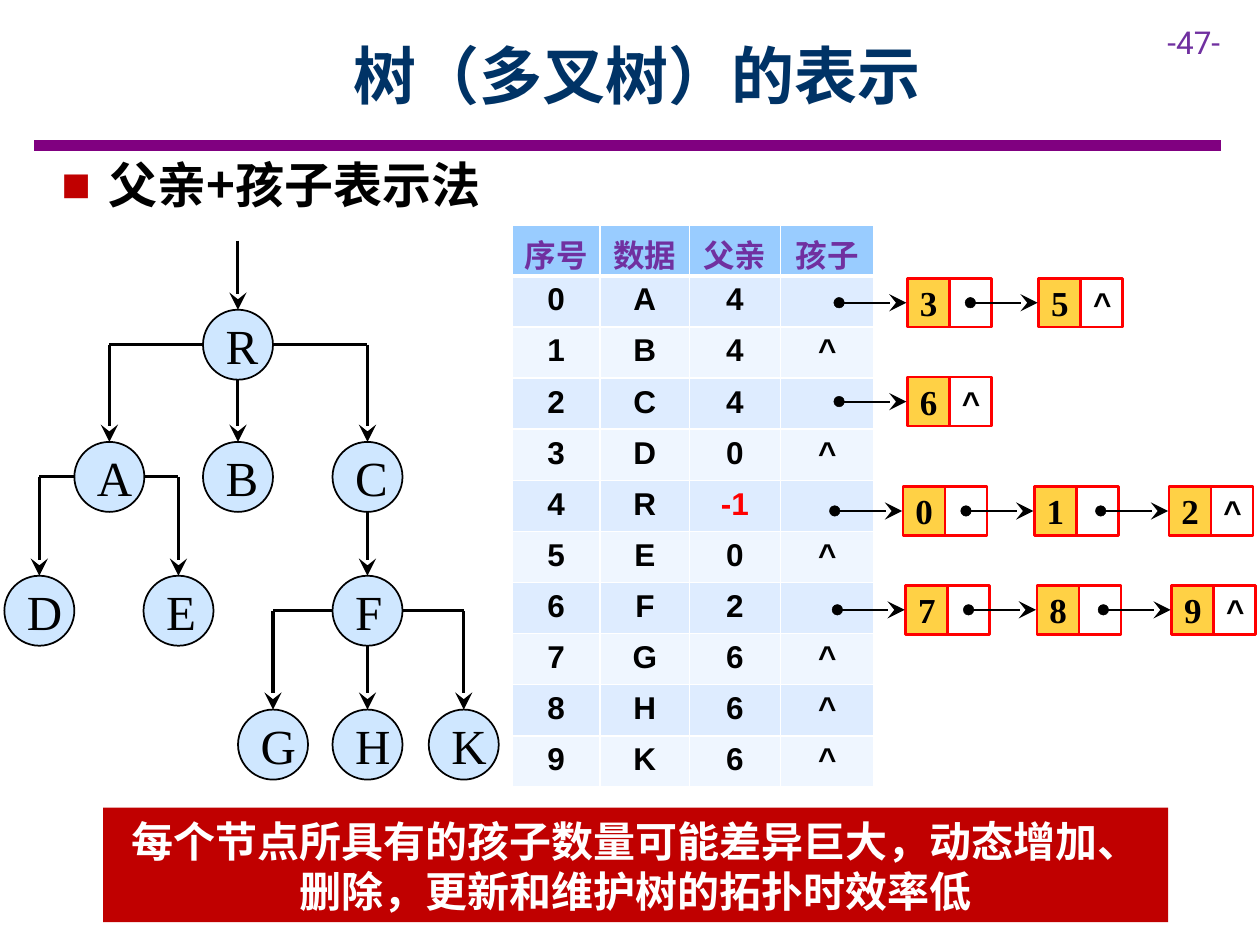
from dataclasses import dataclass

from lxml import etree
from pptx import Presentation
from pptx.dml.color import RGBColor
from pptx.enum.shapes import MSO_CONNECTOR, MSO_SHAPE
from pptx.enum.text import MSO_ANCHOR, PP_ALIGN
from pptx.oxml.ns import qn
from pptx.util import Pt

CENTER, LEFT = PP_ALIGN.CENTER, PP_ALIGN.LEFT
TOP, MIDDLE = MSO_ANCHOR.TOP, MSO_ANCHOR.MIDDLE
OVAL, RECTANGLE = MSO_SHAPE.OVAL, MSO_SHAPE.RECTANGLE
STRAIGHT = MSO_CONNECTOR.STRAIGHT


@dataclass(frozen=True)
class Theme:
    black: str = "000000"
    white: str = "FFFFFF"
    navy: str = "003366"
    purple: str = "7030A0"
    rule: str = "800080"
    crimson: str = "C00000"
    red: str = "FF0000"
    amber: str = "FFC000"
    sky: str = "99CCFF"
    bands: tuple = ("DEECFF", "EFF6FF")
    chinese: str = "Noto Sans CJK SC"
    sans: str = "Arial"
    serif: str = "Times New Roman"
    number: str = "Roboto"
    title_size: int = 36
    heading_size: int = 28
    banner_size: int = 24
    key_size: int = 20
    body_size: int = 18


def add_element(parent, tag, **attributes):
    return etree.SubElement(parent, qn(tag), attributes)


class TreeSlide:
    def __init__(self, presentation, theme):
        self.theme = theme
        self.slide = presentation.slides.add_slide(presentation.slide_layouts[5])
        self.shapes = self.slide.shapes

    def set_text(self, frame, text, font, size, color, bold=False, align=CENTER):
        frame.text = text
        paragraph = frame.paragraphs[0]
        paragraph.alignment = align
        for run in paragraph.runs:
            run.font.name = font
            run.font.size = Pt(size)
            run.font.bold = bold
            run.font.color.rgb = RGBColor.from_string(color)
            add_element(run._r.get_or_add_rPr(), "a:ea", typeface=self.theme.chinese)
        return paragraph

    def title(self, text, left, top, width, height):
        title = self.shapes.title
        title.left, title.top, title.width, title.height = map(Pt, (left, top, width, height))
        title.text_frame.vertical_anchor = MIDDLE
        self.set_text(title.text_frame, text, self.theme.chinese, self.theme.title_size,
                      self.theme.navy, True)

    def text(self, text, left, top, width, height, font, size, color, bold=False):
        box = self.shapes.add_textbox(*map(Pt, (left, top, width, height)))
        box.text_frame.word_wrap = True
        return self.set_text(box.text_frame, text, font, size, color, bold, LEFT)

    def bullet(self, text, left, top, width, height):
        paragraph = self.text(text, left, top, width, height, self.theme.chinese,
                              self.theme.heading_size, self.theme.black, True)
        paragraph.space_after = Pt(6)
        paragraph.line_spacing = 0.9
        properties = paragraph._p.get_or_add_pPr()
        properties.set("marL", str(Pt(27)))
        properties.set("indent", str(-Pt(27)))
        color = add_element(properties, "a:buClr")
        add_element(color, "a:srgbClr", val=self.theme.crimson)
        add_element(properties, "a:buFont", typeface=self.theme.sans)
        add_element(properties, "a:buChar", char="■")

    def shape(self, kind, left, top, width, height, fill=None, opacity=100,
              line=None, line_width=1.0):
        shape = self.shapes.add_shape(kind, *map(Pt, (left, top, width, height)))
        shape.shadow.inherit = False
        if fill:
            shape.fill.solid()
            shape.fill.fore_color.rgb = RGBColor.from_string(fill)
            if opacity < 100:
                color = shape._element.spPr.find(qn("a:solidFill"))[0]
                add_element(color, "a:alpha", val=str(opacity * 1000))
        else:
            shape.fill.background()
        if line:
            shape.line.color.rgb = RGBColor.from_string(line)
            shape.line.width = Pt(line_width)
        else:
            shape.line.fill.background()
        return shape

    def label(self, shape, text, font, size):
        frame = shape.text_frame
        frame.word_wrap = True
        frame.vertical_anchor = MIDDLE
        frame.margin_left = frame.margin_right = Pt(7.2)
        frame.margin_top = frame.margin_bottom = Pt(7.2)
        self.set_text(frame, text, font, size, self.theme.black,
                      shape.auto_shape_type == RECTANGLE)

    def line(self, start, end, width, color=None, arrow=False):
        connector = self.shapes.add_connector(STRAIGHT, *map(Pt, (*start, *end)))
        connector.line.color.rgb = RGBColor.from_string(color or self.theme.black)
        connector.line.width = Pt(width)
        properties = connector._element.spPr
        if arrow:
            add_element(properties.find(qn("a:ln")), "a:tailEnd",
                        type="stealth", w="lg", len="lg")
        add_element(properties, "a:effectLst")

    def tree(self, nodes, edges, radius):
        for name, (x, y) in nodes.items():
            circle = self.shape(OVAL, x - radius, y - radius, 2 * radius, 2 * radius,
                                self.theme.sky, 47, self.theme.black)
            self.label(circle, name, self.theme.serif, self.theme.heading_size)
        for parent, child in edges:
            (x, y), (child_x, child_y) = nodes[parent], nodes[child]
            bend = y + radius
            if child_x != x:
                side = radius if child_x > x else -radius
                bend = y
                self.line((x + side, y), (child_x, y), 1.75)
            self.line((child_x, bend), (child_x, child_y - radius), 1.75, arrow=True)

    def table(self, rows, left, top, widths, row_height):
        theme = self.theme
        table = self.shapes.add_table(len(rows), len(widths), *map(
            Pt, (left, top, sum(widths), row_height * len(rows)))).table
        for column, width in zip(table.columns, widths):
            column.width = Pt(width)
        for row_index, values in enumerate(rows):
            header = row_index == 0
            table.rows[row_index].height = Pt(row_height)
            for column_index, value in enumerate(values):
                cell = table.cell(row_index, column_index)
                cell.vertical_anchor = TOP
                cell.margin_top = Pt(3.6)
                cell.margin_bottom = Pt(0)
                for side in "LRTB":
                    width = 3 if (header and side == "B") or (row_index == 1 and side == "T") else 1
                    border = add_element(cell._tc.get_or_add_tcPr(), f"a:ln{side}",
                                         w=str(Pt(width)))
                    add_element(add_element(border, "a:solidFill"), "a:srgbClr", val=theme.white)
                cell.fill.solid()
                cell.fill.fore_color.rgb = RGBColor.from_string(
                    theme.sky if header else theme.bands[(row_index - 1) % 2])
                color = theme.purple if header else theme.red if value == "-1" else theme.black
                self.set_text(cell.text_frame, value, theme.chinese if header else theme.sans,
                              theme.body_size, color, True)

    def child_list(self, keys, left, top):
        theme, width, height = self.theme, 24, 28
        middle = top + height / 2
        positions = [left + offset for offset in (0, 75, 152)][:len(keys)]
        for key, x in zip(keys, positions):
            box = self.shape(RECTANGLE, x, top, width, height, theme.amber, 73, theme.red, 1.5)
            self.label(box, key, theme.serif, theme.key_size)
            pointer = self.shape(RECTANGLE, x + width, top, width, height,
                                 line=theme.red, line_width=1.5)
            if key == keys[-1]:
                self.label(pointer, "^", theme.sans, theme.body_size)
        # Pointers go on top of the boxes
        for x in positions:
            self.line((x - 38, middle), (x - 0.5, middle), 1.25, arrow=True)
            self.shape(OVAL, x - 42, middle - 3, 6, 6, theme.black, line=theme.black,
                       line_width=0.25)

    def banner(self, text, left, top, width, height):
        banner = self.shape(RECTANGLE, left, top, width, height, self.theme.crimson)
        banner.text_frame.word_wrap = True
        banner.text_frame.vertical_anchor = TOP
        banner.text_frame.margin_top = Pt(5)
        paragraph = self.set_text(banner.text_frame, text, self.theme.serif,
                                  self.theme.banner_size, self.theme.white, True)
        paragraph.line_spacing = Pt(28.5)


def main():
    presentation = Presentation()
    presentation.slide_width, presentation.slide_height = Pt(720), Pt(540)
    theme = Theme()
    page = TreeSlide(presentation, theme)

    # Heading area
    page.line((19.5, 83), (697.5, 83), 6, theme.rule)
    page.text("-47-", 660, 9.5, 60, 29, theme.number, theme.body_size, theme.purple)
    page.title("树（多叉树）的表示", 65, 6.5, 598, 72)
    page.bullet("父亲+孩子表示法", 28, 88.5, 292, 41)

    # Tree on the left, one row of nodes per level
    levels = {197: {"R": 136}, 272.5: {"A": 62.5, "B": 136, "C": 210},
              349: {"D": 22.5, "E": 102, "F": 210}, 425.5: {"G": 156, "H": 210, "K": 265}}
    nodes = {name: (x, y) for y, level in levels.items() for name, x in level.items()}
    page.line((136, 137.5), (136, 177), 1.75, arrow=True)
    page.tree(nodes, ["RA", "RB", "RC", "AD", "AE", "CF", "FG", "FH", "FK"], 20)

    # Parent table; nodes with children have an empty last cell
    children = {0: "35", 2: "6", 4: "012", 6: "789"}
    parents = ("4", "4", "4", "0", "-1", "0", "2", "6", "6", "6")
    rows = [("序号", "数据", "父亲", "孩子")]
    for index, (name, parent) in enumerate(zip("ABCDREFGHK", parents)):
        rows.append((str(index), name, parent, "" if index in children else "^"))
    page.table(rows, 292.5, 128.5, (50.5, 51, 52, 53.5), 29.2)

    # Linked lists of children
    places = ((518.5, 159), (518.5, 215.5), (516, 278), (517.5, 334.5))
    for keys, (left, top) in zip(children.values(), places):
        page.child_list(keys, left, top)

    # Conclusion
    page.banner("每个节点所具有的孩子数量可能差异巨大，动态增加、删除，更新和维护树的拓扑时效率低",
                59, 461.5, 608.5, 65.5)
    presentation.save("out.pptx")


if __name__ == "__main__":
    main()
